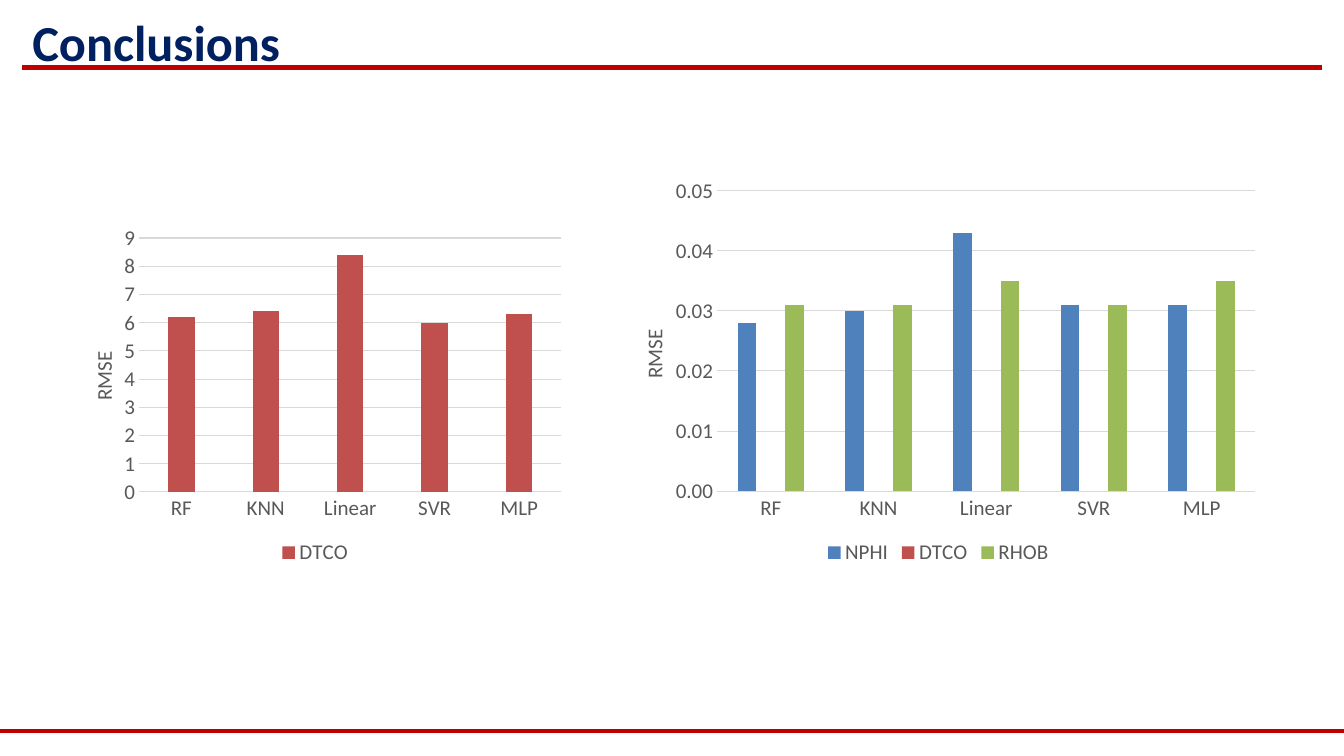
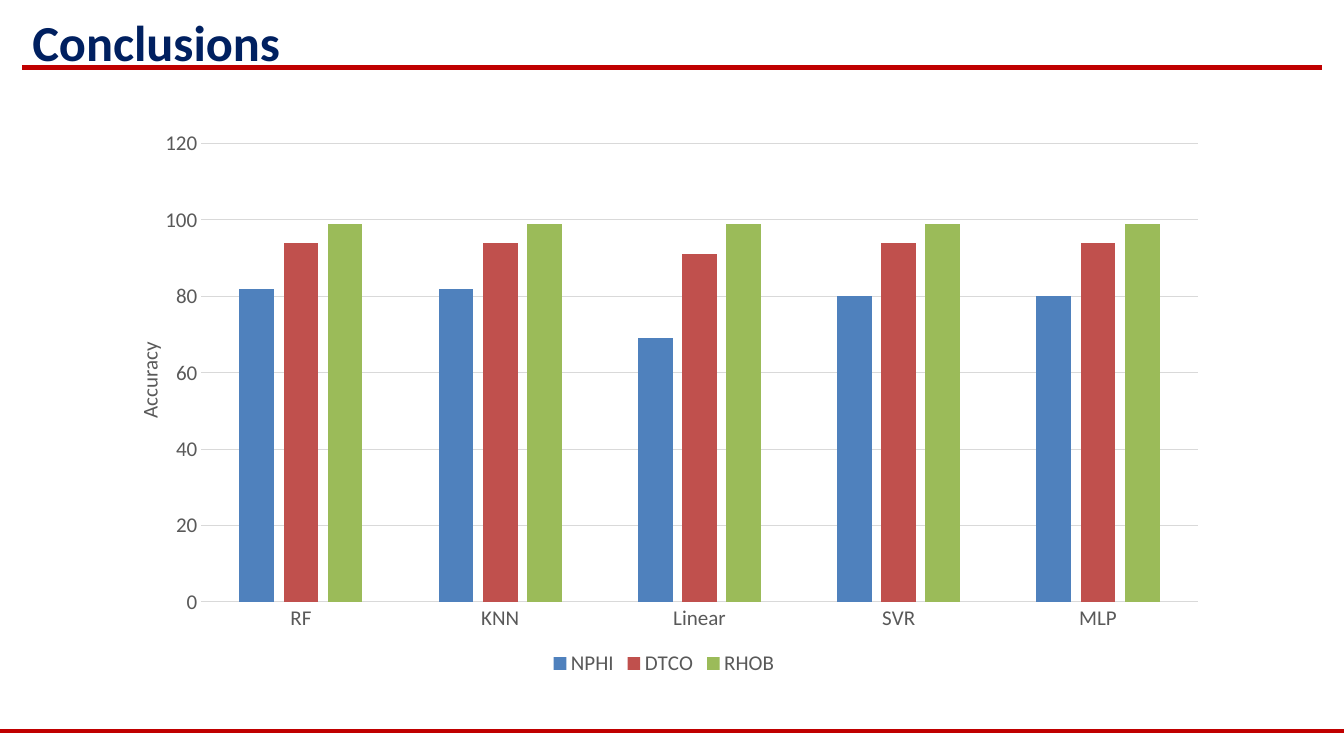
from dataclasses import dataclass
from typing import NamedTuple, Optional

from lxml.etree import SubElement
from pptx import Presentation
from pptx.chart.chart import Chart
from pptx.chart.data import CategoryChartData
from pptx.dml.color import RGBColor
from pptx.enum.chart import XL_CHART_TYPE, XL_LEGEND_POSITION, XL_TICK_MARK
from pptx.enum.shapes import MSO_CONNECTOR
from pptx.enum.text import MSO_ANCHOR, MSO_AUTO_SIZE, PP_ALIGN
from pptx.oxml.ns import qn
from pptx.util import Inches, Pt

NAVY = RGBColor(0x00, 0x20, 0x60)
RED = RGBColor(0xC0, 0x00, 0x00)
GRAY = RGBColor(0x59, 0x59, 0x59)
PALE = RGBColor(0xD9, 0xD9, 0xD9)
HUES = {
    "NPHI": RGBColor(0x4F, 0x81, 0xBD),
    "DTCO": RGBColor(0xC0, 0x50, 0x4D),
    "RHOB": RGBColor(0x9B, 0xBB, 0x59),
}
FONT = "Calibri"
MODELS = ["RF", "KNN", "Linear", "SVR", "MLP"]


class Box(NamedTuple):
    left: float
    top: float
    width: float
    height: float


class Rule(NamedTuple):
    left: float
    right: float
    top: float


@dataclass
class Graph:
    box: Box
    plot: Box
    label: str
    spot: tuple[float, float]
    top: float
    step: float
    form: str
    rows: dict[str, list[Optional[float]]]


RULES = [Rule(0, 13.33, 7.25), Rule(0.22, 13.11, 0.67)]

ERROR = Graph(
    Box(6.04, 1.69, 6.53, 3.96), Box(7.11, 1.89, 5.34, 2.98),
    "RMSE", (6.31, 3.23), 0.05, 0.01, "0.00",
    {
        "NPHI": [0.028, 0.03, 0.043, 0.031, 0.031],
        "DTCO": [None] * len(MODELS),
        "RHOB": [0.031, 0.031, 0.035, 0.031, 0.035],
    },
)
SONIC = Graph(
    Box(0.58, 2.17, 5.09, 3.48), Box(1.38, 2.36, 4.19, 2.52),
    "RMSE", (0.85, 3.45), 9, 1, "0",
    {"DTCO": [6.2, 6.4, 8.4, 6, 6.3]},
)
SCORE = Graph(
    Box(1.07, 1.04, 11.03, 5.71), Box(2, 1.42, 9.88, 4.55),
    "Accuracy", (1.3, 3.35), 120, 20, "0",
    {
        "NPHI": [82, 82, 69, 80, 80],
        "DTCO": [94, 94, 91, 94, 94],
        "RHOB": [99, 99, 99, 99, 99],
    },
)
PAGES = [[ERROR, SONIC], [SCORE]]


def style(font, size: float, color: RGBColor, bold: bool = False) -> None:
    font.name, font.size, font.bold = FONT, Pt(size), bold
    font.color.rgb = color


def pin(parent, index: int, parts: dict[str, object]) -> None:
    """Give a chart part a manual layout."""
    for old in parent.findall(qn("c:layout")):
        parent.remove(old)
    layout = SubElement(parent, qn("c:layout"))
    parent.insert(index, layout)
    manual = SubElement(layout, qn("c:manualLayout"))
    for tag, value in parts.items():
        SubElement(manual, qn(f"c:{tag}")).set("val", str(value))


def set_axes(chart: Chart, graph: Graph) -> None:
    for axis in (chart.category_axis, chart.value_axis):
        axis.major_tick_mark = axis.minor_tick_mark = XL_TICK_MARK.NONE
        style(axis.tick_labels.font, 15, GRAY)
    line = chart.category_axis.format.line
    line.color.rgb, line.width = PALE, Pt(0.75)

    axis = chart.value_axis
    axis.minimum_scale, axis.maximum_scale = 0, graph.top
    axis.major_unit = graph.step
    axis.tick_labels.number_format = graph.form
    axis.tick_labels.number_format_is_linked = False
    axis.format.line.fill.background()
    grid = axis.major_gridlines.format.line
    grid.color.rgb, grid.width = PALE, Pt(0.75)

    # Upright axis title
    title = axis.axis_title
    title.text_frame.text = graph.label
    style(title.text_frame.paragraphs[0].font, 15, GRAY)
    body = title.element.find(".//" + qn("a:bodyPr"))
    body.set("rot", "-5400000")
    body.set("vert", "horz")
    x, y = graph.spot
    box = graph.box
    pin(title.element, 1, {
        "xMode": "edge", "yMode": "edge",
        "x": round((x - box.left) / box.width, 3),
        "y": round((y - box.top) / box.height, 3),
    })


def add_graph(slide, graph: Graph) -> None:
    data = CategoryChartData()
    data.categories = MODELS
    for name, values in graph.rows.items():
        data.add_series(name, values)
    box, area = graph.box, graph.plot
    chart = slide.shapes.add_chart(
        XL_CHART_TYPE.COLUMN_CLUSTERED, *map(Inches, box), data
    ).chart
    chart.has_title = False
    style(chart.font, 15, GRAY)

    # Columns
    plot = chart.plots[0]
    plot.gap_width, plot.overlap = 219, -27
    plot.vary_by_categories = False
    for series in plot.series:
        fill = series.format.fill
        fill.solid()
        fill.fore_color.rgb = HUES[series.name]

    set_axes(chart, graph)
    chart.has_legend = True
    chart.legend.position = XL_LEGEND_POSITION.BOTTOM
    chart.legend.include_in_layout = False
    style(chart.legend.font, 15, GRAY)
    pin(chart.element.find(".//" + qn("c:plotArea")), 0, {
        "layoutTarget": "inner", "xMode": "edge", "yMode": "edge",
        "x": round((area.left - box.left) / box.width, 3),
        "y": round((area.top - box.top) / box.height, 3),
        "w": round(area.width / box.width, 3),
        "h": round(area.height / box.height, 3),
    })


def add_rule(slide, master, rule: Rule) -> None:
    """Draw a red rule and move it to the master."""
    y = Inches(rule.top)
    line = slide.shapes.add_connector(
        MSO_CONNECTOR.STRAIGHT, Inches(rule.left), y, Inches(rule.right), y
    )
    line.line.color.rgb, line.line.width = RED, Pt(3)
    SubElement(line.element.spPr, qn("a:effectLst"))
    master.shapes.element.append(line.element)


def set_title(slide, text: str) -> None:
    title = slide.shapes.title
    frame = title.text_frame
    frame.text = text
    frame.vertical_anchor = MSO_ANCHOR.MIDDLE
    frame.auto_size = MSO_AUTO_SIZE.NONE
    par = frame.paragraphs[0]
    par.alignment = PP_ALIGN.LEFT
    style(par.font, 36, NAVY, True)


def main() -> None:
    deck = Presentation()
    deck.slide_width, deck.slide_height = Inches(13.33), Inches(7.5)
    layout = deck.slide_layouts[5]

    # Shared title place
    head = layout.placeholders[0]
    head.left, head.top = Inches(0.22), Inches(0)
    head.width, head.height = Inches(12), Inches(0.83)

    slides = [deck.slides.add_slide(layout) for _ in PAGES]
    for rule in RULES:
        add_rule(slides[0], deck.slide_master, rule)
    for slide, graphs in zip(slides, PAGES):
        set_title(slide, "Conclusions")
        for graph in graphs:
            add_graph(slide, graph)
    deck.save("out.pptx")


if __name__ == "__main__":
    main()
